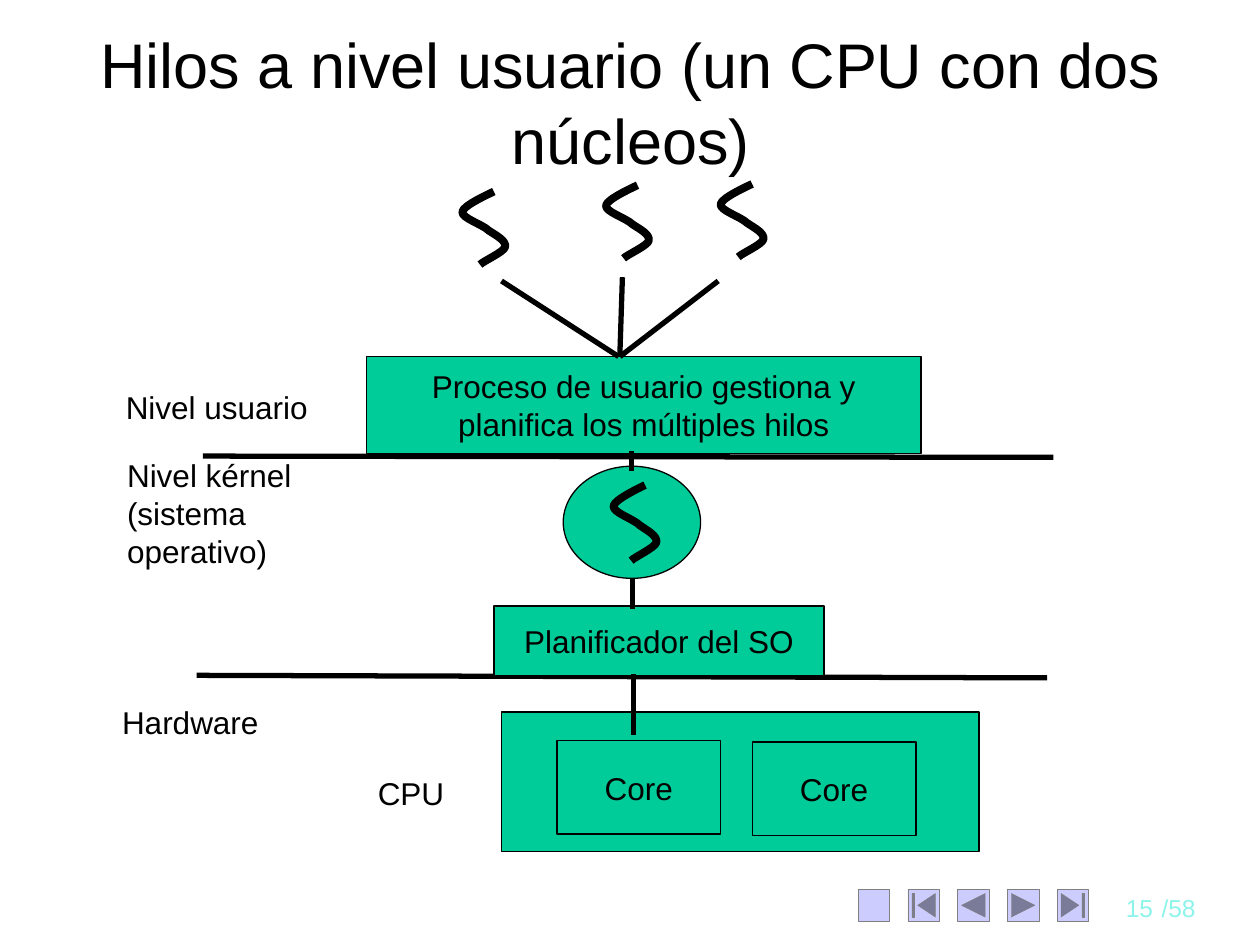
from dataclasses import dataclass

import pptx
import pptx.dml.color
import pptx.enum.shapes
import pptx.enum.text
import pptx.oxml.ns
import pptx.util
from lxml import etree

Inches = pptx.util.Inches
Pt = pptx.util.Pt
qn = pptx.oxml.ns.qn
SHAPE = pptx.enum.shapes.MSO_SHAPE
ALIGN = pptx.enum.text.PP_ALIGN
ANCHOR = pptx.enum.text.MSO_ANCHOR
FIT = pptx.enum.text.MSO_AUTO_SIZE

BLACK, GREEN, LILAC, GREY, AQUA = "000000", "00CC99", "CCCCFF", "808080", "8CF4EA"


@dataclass
class Block:
    left: float
    top: float
    width: float
    height: float
    text: str = ""
    kind: int = SHAPE.RECTANGLE
    wrap: bool = False
    fill: str = GREEN
    outline: str = BLACK
    weight: float = 0.75


@dataclass
class Label:
    left: float
    top: float
    width: float
    height: float
    text: str
    wrap: bool = True
    size: float = 18
    color: str = BLACK
    align: int = ALIGN.LEFT


@dataclass
class Line:
    x1: float
    y1: float
    x2: float
    y2: float


@dataclass
class Thread:
    left: float
    top: float
    height: float = 0.58


def rgb(value: str) -> pptx.dml.color.RGBColor:
    return pptx.dml.color.RGBColor.from_string(value)


def write(frame, text: str, size: float, color: str, align: int, wrap: bool) -> None:
    frame.word_wrap = wrap
    paragraph = frame.paragraphs[0]
    paragraph.alignment = align
    run = paragraph.add_run()
    run.text = text
    for name, value in {"name": "Arial", "size": Pt(size)}.items():
        setattr(run.font, name, value)
    run.font.color.rgb = rgb(color)
    run._r.get_or_add_rPr().set("kern", "0")  # no pair kerning


def stroke(line, color: str, weight: float) -> None:
    line.color.rgb = rgb(color)
    line.width = Pt(weight)


def draw_block(shapes, block: Block) -> None:
    box = shapes.add_shape(block.kind, Inches(block.left), Inches(block.top),
                           Inches(block.width), Inches(block.height))
    box.shadow.inherit = False
    box.fill.solid()
    box.fill.fore_color.rgb = rgb(block.fill)
    stroke(box.line, block.outline, block.weight)
    if block.text:
        box.text_frame.vertical_anchor = ANCHOR.MIDDLE
        write(box.text_frame, block.text, 18, BLACK, ALIGN.CENTER, block.wrap)


def draw_label(shapes, label: Label) -> None:
    box = shapes.add_textbox(Inches(label.left), Inches(label.top),
                             Inches(label.width), Inches(label.height))
    box.text_frame.auto_size = FIT.SHAPE_TO_FIT_TEXT
    write(box.text_frame, label.text, label.size, label.color, label.align, label.wrap)


def draw_line(shapes, line: Line) -> None:
    link = shapes.add_connector(pptx.enum.shapes.MSO_CONNECTOR.STRAIGHT,
                                Inches(line.x1), Inches(line.y1),
                                Inches(line.x2), Inches(line.y2))
    stroke(link.line, BLACK, 3)
    etree.SubElement(link._element.spPr, qn("a:effectLst"))


# S-shaped thread: start, then two control points and an end for each curve
THREAD_POINTS = [
    (0.26, 0),
    (0.22, 0.02), (0.02, 0.11), (0.01, 0.16),
    (0, 0.21), (0.17, 0.26), (0.22, 0.31),
    (0.28, 0.35), (0.36, 0.39), (0.35, 0.44),
    (0.34, 0.48), (0.18, 0.55), (0.15, 0.58),
]


def draw_thread(shapes, thread: Thread) -> None:
    start, *rest = [(Inches(thread.left + x), Inches(thread.top + y * thread.height / 0.58))
                    for x, y in THREAD_POINTS]
    builder = shapes.build_freeform(*start)
    builder.add_line_segments(rest, close=False)
    squiggle = builder.convert_to_shape()
    # Turn every three line segments into one Bezier curve
    segments = list(squiggle._element.iter(qn("a:lnTo")))
    outline = segments[0].getparent()
    for i in range(0, len(segments), 3):
        curve = etree.SubElement(outline, qn("a:cubicBezTo"))
        for segment in segments[i:i + 3]:
            curve.append(segment[0])
            outline.remove(segment)
    squiggle.shadow.inherit = False
    squiggle.fill.background()
    stroke(squiggle.line, BLACK, 4.5)


LEVEL_LINES = [Line(1.61, 3.62, 8.36, 3.63), Line(1.56, 5.36, 8.31, 5.38)]

BLOCKS = [
    Block(2.91, 2.83, 4.4, 0.77,
          "Proceso de usuario gestiona y planifica los múltiples hilos", wrap=True),
    Block(4.47, 3.7, 1.09, 0.89, kind=SHAPE.OVAL),
    Block(3.92, 4.81, 2.62, 0.55, "Planificador del SO"),
    Block(3.98, 5.65, 3.79, 1.11),
    Block(4.42, 5.88, 1.3, 0.74, "Core"),
    Block(5.97, 5.89, 1.3, 0.74, "Core"),
]

LABELS = [
    Label(0.9, 3.03, 1.84, 0.4, "Nivel usuario"),
    Label(0.91, 3.57, 1.98, 1, "Nivel kérnel (sistema operativo)"),
    Label(0.87, 5.53, 1.32, 0.4, "Hardware"),
    Label(2.9, 6.09, 0.73, 0.4, "CPU", wrap=False),
    Label(8.71, 7.04, 0.54, 0.33, "15", size=14, color=AQUA, align=ALIGN.RIGHT),
    Label(9.12, 7.04, 0.52, 0.33, "/58", size=14, color=AQUA),
]

THREADS = [Thread(3.66, 1.52), Thread(4.8, 1.47), Thread(5.71, 1.46),
           Thread(4.86, 3.85, 0.6)]

LINKS = [
    Line(4.91, 2.83, 3.98, 2.23),
    Line(4.92, 2.81, 4.94, 2.2),
    Line(4.92, 2.83, 5.7, 2.23),
    Line(5.01, 3.74, 5.01, 3.58),
    Line(5.02, 4.83, 5.02, 4.59),
    Line(5.03, 5.83, 5.03, 5.35),
]

BUTTON_KINDS = [SHAPE.ACTION_BUTTON_CUSTOM, SHAPE.ACTION_BUTTON_BEGINNING,
                SHAPE.ACTION_BUTTON_BACK_OR_PREVIOUS,
                SHAPE.ACTION_BUTTON_FORWARD_OR_NEXT, SHAPE.ACTION_BUTTON_END]
BUTTON_STEP = (8.39 - 6.81) / (len(BUTTON_KINDS) - 1)
BUTTONS = [Block(6.81 + BUTTON_STEP * i, 7.06, 0.25, 0.25, kind=kind,
                 fill=LILAC, outline=GREY, weight=0.25)
           for i, kind in enumerate(BUTTON_KINDS)]


def main() -> None:
    deck = pptx.Presentation()
    deck.slide_width, deck.slide_height = Inches(10), Inches(7.5)
    slide = deck.slides.add_slide(deck.slide_layouts[5])
    shapes = slide.shapes

    # Title
    title = shapes.title
    for name, value in {"left": 0.5, "top": 0.3, "width": 9.01, "height": 1.01}.items():
        setattr(title, name, Inches(value))
    title.text_frame.auto_size = FIT.NONE
    title.text_frame.vertical_anchor = ANCHOR.MIDDLE
    write(title.text_frame, "Hilos a nivel usuario (un CPU con dos núcleos)",
          36, BLACK, ALIGN.CENTER, True)

    # Diagram and navigation bar, from back to front
    for draw, parts in ((draw_line, LEVEL_LINES), (draw_block, BLOCKS + BUTTONS),
                        (draw_label, LABELS), (draw_thread, THREADS),
                        (draw_line, LINKS)):
        for part in parts:
            draw(shapes, part)

    deck.save("out.pptx")


if __name__ == "__main__":
    main()
